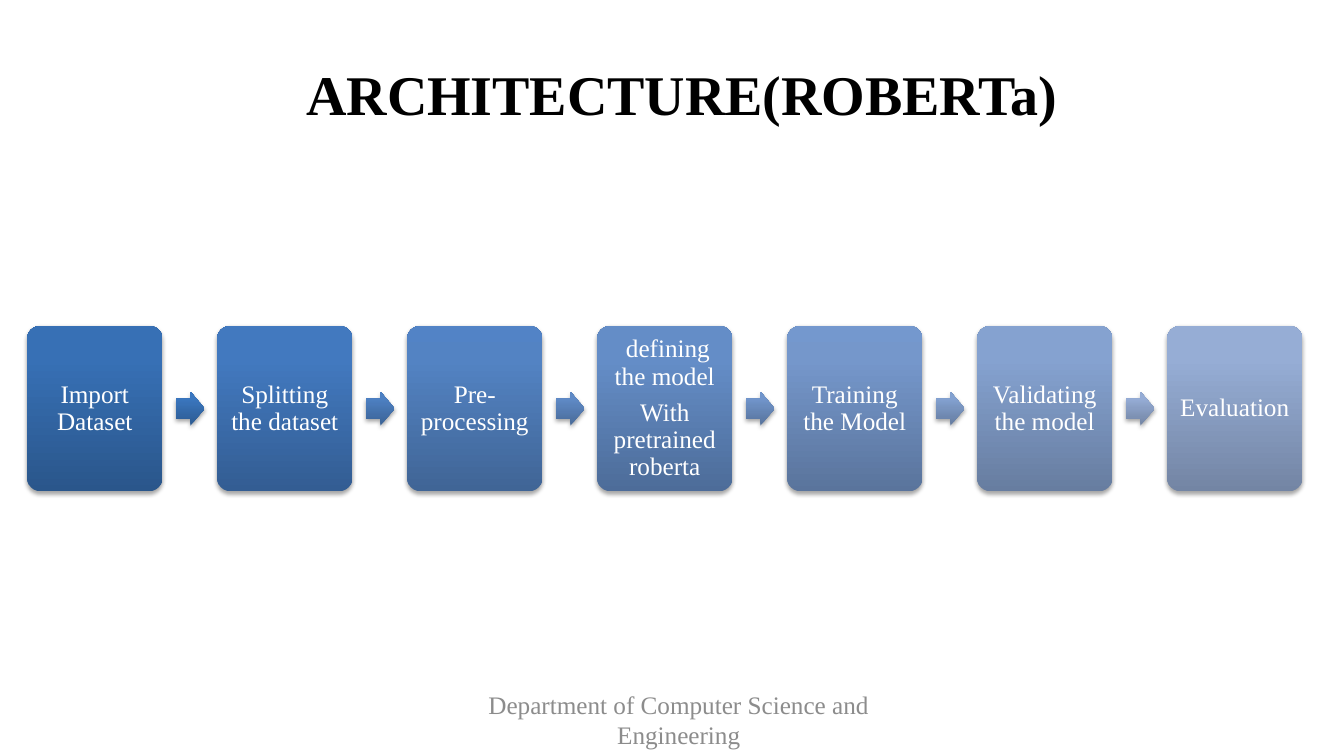
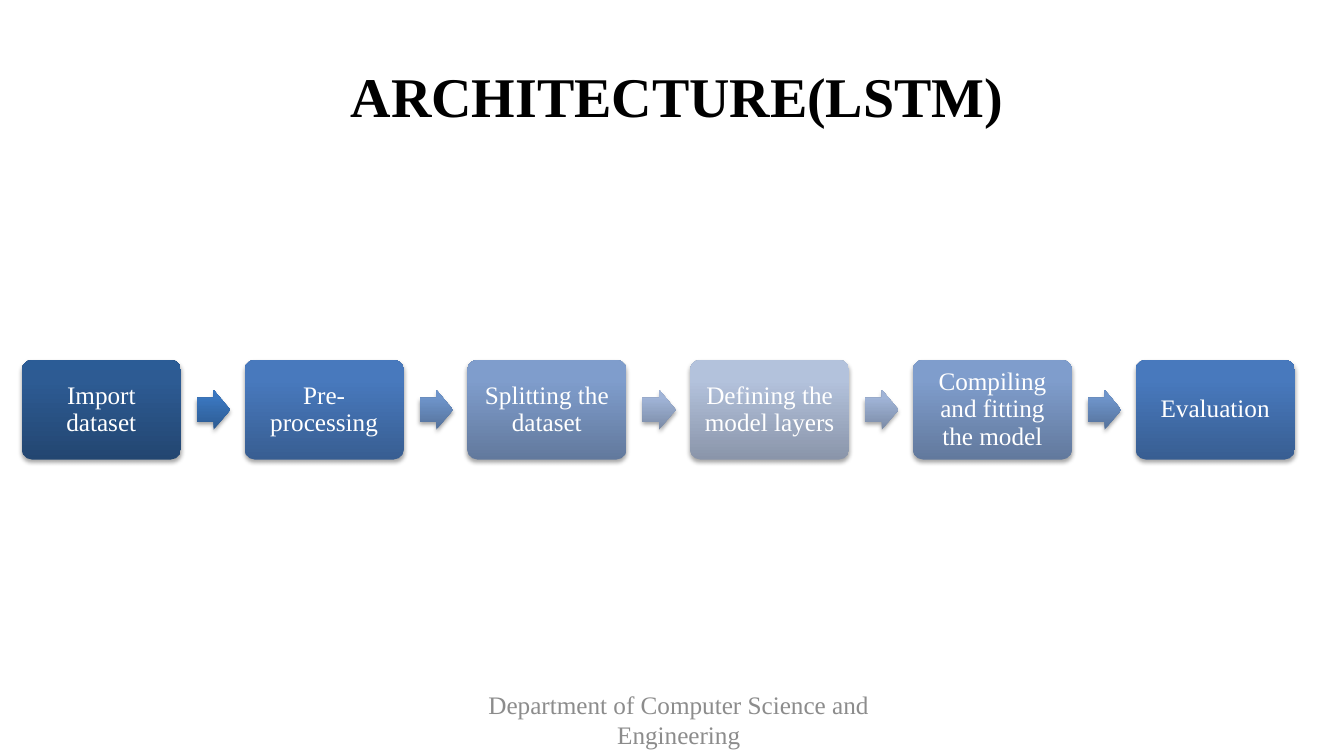
import copy

import lxml.etree
import pptx
import pptx.dml.color
import pptx.enum.shapes
import pptx.enum.text
import pptx.oxml.ns
import pptx.util
from pptx.util import Cm, Pt

FONT = "Times New Roman"
CENTER = pptx.enum.text.PP_ALIGN.CENTER
LEFT = pptx.enum.text.PP_ALIGN.LEFT
MIDDLE = pptx.enum.text.MSO_ANCHOR.MIDDLE
TOP = pptx.enum.text.MSO_ANCHOR.TOP
ROUNDED = pptx.enum.shapes.MSO_SHAPE.ROUNDED_RECTANGLE
ARROW = pptx.enum.shapes.MSO_SHAPE.RIGHT_ARROW

TITLE = {"size": 40, "bold": True, "color": "000000", "align": LEFT,
         "paragraph": {}, "anchor": TOP, "margin": 0}
FOOTER = {"size": 18, "bold": False, "color": "8C8C8C", "align": CENTER,
          "paragraph": {}, "anchor": TOP, "margin": 0}
STEP = {"size": 18, "bold": False, "color": "FFFFFF", "align": CENTER,
        "paragraph": {"line_spacing": 0.9, "space_after": Pt(6.3)},
        "anchor": MIDDLE, "margin": 0.17}

FOOTER_TEXT = "Department of Computer Science and Engineering"
STOP_POSITIONS = (0, 0.8, 1)

# Gradient colours run from the bottom edge to the top edge.
FLOWS = [
    {
        "title": "ARCHITECTURE(ROBERTa)",
        "title_at": (7.72, 1.5),
        "left": 0.68, "top": 8.21, "width": 3.42, "height": 4.17,
        "steps": [
            (["Import Dataset"], "2A568B 3770B5 3570B8"),
            (["Splitting the dataset"], "335D93 4279BF 4079C2"),
            (["Pre-processing"], "406596 5383C3 5283C6"),
            ([" defining the model", "With pretrained roberta"],
             "4D6C99 648DC7 638DCA"),
            (["Training the Model"], "5A749C 7597CB 7498CE"),
            (["Validating the model"], "677DA0 85A2D0 85A2D2"),
            (["Evaluation"], "7385A4 96ADD5 95ADD7"),
        ],
        "arrows": [
            "2D5B92 3A76BE 3876C2", "3B6396 4D80C2 4B80C5",
            "496B99 5F8AC6 5D8BC9", "57739C 7195CB 7096CE",
            "657CA0 83A1D0 82A1D2", "7385A4 95ACD5 94ADD7",
        ],
    },
    {
        "title": "ARCHITECTURE(LSTM)",
        "title_at": (8.84, 1.55),
        "left": 0.55, "top": 9.07, "width": 4.01, "height": 2.51,
        "steps": [
            (["Import dataset"], "234671 2D5B93 2B5C96"),
            (["Pre-processing"], "385E92 4879BD 467AC0"),
            (["Splitting the dataset"], "62799D 7F9DCC 7E9DCE"),
            (["Defining the model layers"], "8A95AA B3C2DC B4C3DE"),
            (["Compiling and fitting the model"], "62799D 7F9DCC 7E9DCE"),
            (["Evaluation"], "385E92 4879BD 467AC0"),
        ],
        "arrows": [
            "2D5B92 3A76BE 3876C2", "55729B 6E94CA 6D94CC",
            "7B8BA6 A0B4D7 9FB5D9", "7B8BA6 A0B4D7 9FB5D9",
            "55729B 6E94CA 6D94CC",
        ],
    },
]


def write_text(shape, lines, style):
    margin = Cm(style["margin"])
    frame = shape.text_frame
    frame_values = {
        "word_wrap": True, "vertical_anchor": style["anchor"],
        "margin_left": margin, "margin_right": margin,
        "margin_top": margin, "margin_bottom": margin,
    }
    for name, value in frame_values.items():
        setattr(frame, name, value)
    frame.text = "\n".join(lines)
    for paragraph in frame.paragraphs:
        paragraph.alignment = style["align"]
        for name, value in style["paragraph"].items():
            setattr(paragraph, name, value)
        font = paragraph.runs[0].font
        font_values = {"name": FONT, "size": Pt(style["size"]), "bold": style["bold"]}
        for name, value in font_values.items():
            setattr(font, name, value)
        font.color.rgb = pptx.dml.color.RGBColor.from_string(style["color"])


def add_glossy_shape(slide, kind, box, adjustments, colors):
    """Add a preset shape with a three-stop vertical gradient and a soft shadow."""
    qn = pptx.oxml.ns.qn
    shape = slide.shapes.add_shape(kind, *[Cm(length) for length in box])
    for index, value in enumerate(adjustments):
        shape.adjustments[index] = value
    shape.line.fill.background()

    shape.fill.gradient()
    shape.fill.gradient_angle = 90
    stop_list = next(shape._element.iter(qn("a:gsLst")))
    stop_list.append(copy.deepcopy(stop_list[0]))
    for stop, position, color in zip(shape.fill.gradient_stops, STOP_POSITIONS, colors.split()):
        stop.position = position
        stop.color.rgb = pptx.dml.color.RGBColor.from_string(color)

    shape.shadow.inherit = False
    effects = next(shape._element.iter(qn("a:effectLst")))
    shadow = lxml.etree.SubElement(
        effects, qn("a:outerShdw"), blurRad=str(Pt(3.1)), dist=str(Pt(1.8)),
        dir="5400000", rotWithShape="0")
    shadow_color = lxml.etree.SubElement(shadow, qn("a:srgbClr"), val="000000")
    lxml.etree.SubElement(shadow_color, qn("a:alpha"), val="35000")
    return shape


presentation = pptx.Presentation()
presentation.slide_width = Cm(33.87)
presentation.slide_height = Cm(19.05)

for flow in FLOWS:
    slide = presentation.slides.add_slide(presentation.slide_layouts[6])

    title_left, title_top = flow["title_at"]
    title = slide.shapes.add_textbox(Cm(title_left), Cm(title_top), Cm(20), Cm(1.7))
    write_text(title, [flow["title"]], TITLE)

    footer = slide.shapes.add_textbox(Cm(11.68), Cm(17.37), Cm(10.85), Cm(1.55))
    write_text(footer, [FOOTER_TEXT], FOOTER)

    # Arrow sizes and gaps are shares of the step width.
    width, height = flow["width"], flow["height"]
    pitch = 1.4 * width
    arrow_width, arrow_height = 0.21 * width, 0.25 * width
    arrow_top = flow["top"] + (height - arrow_height) / 2

    for index, (lines, colors) in enumerate(flow["steps"]):
        box = (flow["left"] + index * pitch, flow["top"], width, height)
        step = add_glossy_shape(slide, ROUNDED, box, [0.1], colors)
        write_text(step, lines, STEP)

    for index, colors in enumerate(flow["arrows"]):
        arrow_left = flow["left"] + index * pitch + 1.1 * width
        box = (arrow_left, arrow_top, arrow_width, arrow_height)
        add_glossy_shape(slide, ARROW, box, [0.6, 0.5], colors)

presentation.save("out.pptx")
